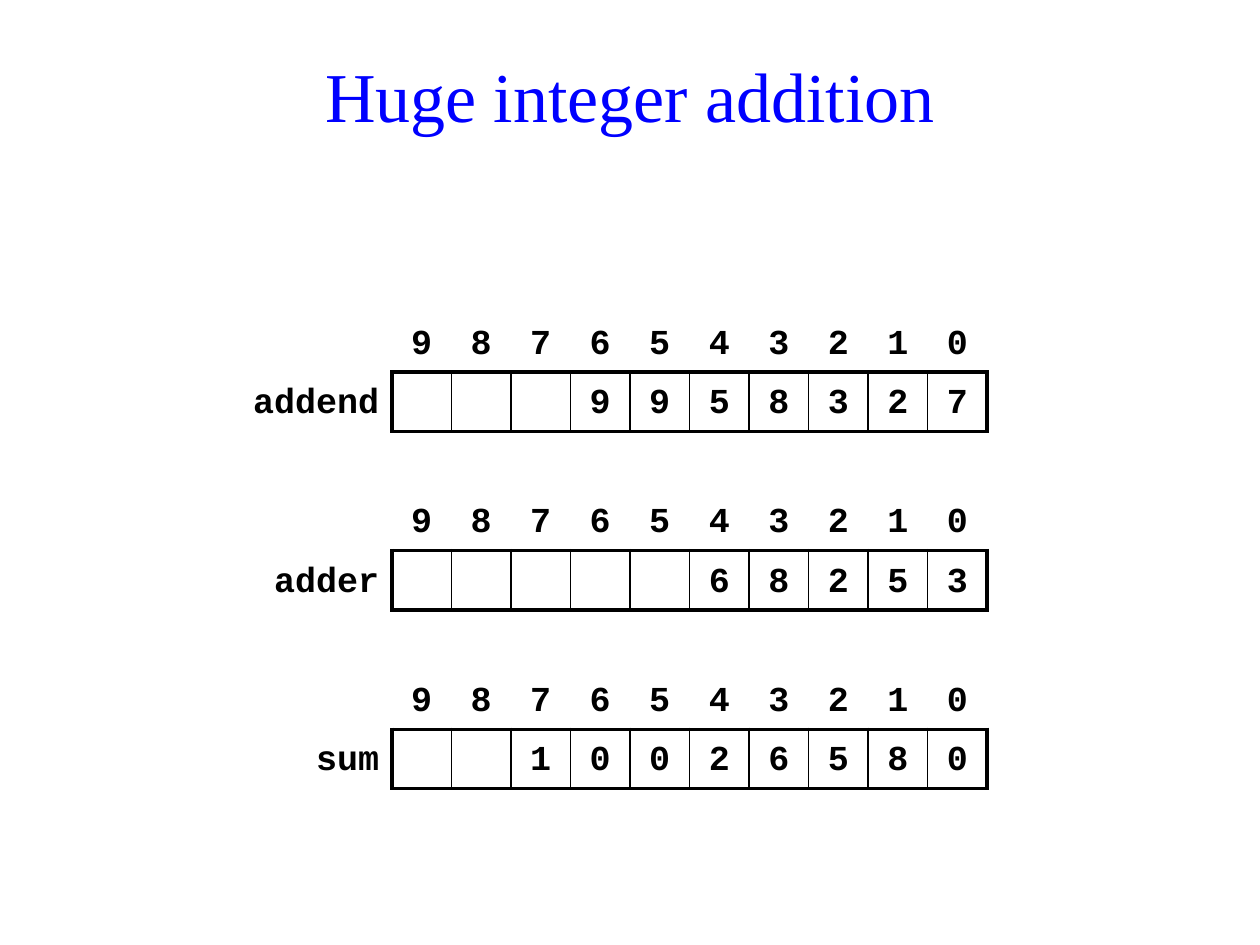
from pptx import Presentation
from pptx.dml.color import RGBColor as RGB
from pptx.enum.text import MSO_ANCHOR as Anchor, PP_ALIGN as Align
from pptx.oxml.ns import qn
from pptx.util import Inches, Mm, Pt
from lxml.etree import SubElement as Sub

COLORS = {"title": "0000FF", "ink": "000000"}
UNIT, EDGE = Mm(4), Mm(7)
CELL, FIRST, DIGITS = 3, 18, 10
THICK, THIN = 2.25, 1


class Deck:
    """Holds the style, the grid of 4 mm units and the current slide."""

    def __init__(self):
        self.prs = Presentation()
        self.prs.slide_width, self.prs.slide_height = Inches(10), Inches(7.5)
        self.slide = self.prs.slides.add_slide(self.prs.slide_layouts[5])

    def place(self, col, row, wide, high):
        return EDGE + col * UNIT, EDGE + row * UNIT, wide * UNIT, high * UNIT

    def style(self, para, font, size, color, align, bold=False):
        para.alignment = align
        for run in para.runs:
            run.font.name, run.font.size, run.font.bold = font, Pt(size), bold
            run.font.color.rgb = RGB.from_string(COLORS[color])

    def title(self, text, col, row, wide, high):
        box = self.slide.shapes.title
        box.left, box.top, box.width, box.height = self.place(col, row, wide, high)
        frame = box.text_frame
        frame.text = text
        frame.vertical_anchor = Anchor.MIDDLE
        self.style(frame.paragraphs[0], "Times New Roman", 40, "title", Align.CENTER)

    def border(self, cell, sides):
        props = cell._tc.get_or_add_tcPr()
        for side in "LRTB":
            width = sides.get(side, 0)
            line = Sub(props, qn(f"a:ln{side}"), w=str(Pt(width)))
            if width:
                fill = Sub(line, qn("a:solidFill"))
                Sub(fill, qn("a:srgbClr"), val=COLORS["ink"])
            else:
                Sub(line, qn("a:noFill"))

    def fill(self, cell, text, align, sides):
        self.border(cell, sides)
        cell.fill.background()
        cell.margin_left = cell.margin_right = Inches(0.1)
        cell.margin_top = cell.margin_bottom = Inches(0.02)
        cell.text_frame.text = text
        para = cell.text_frame.paragraphs[0]
        para.line_spacing = 1.25
        self.style(para, "Courier New", 20, "ink", align, True)

    def number(self, label, value, lead, row):
        spot = self.place(FIRST - lead, row, lead + DIGITS * CELL, 2 * CELL)
        table = self.slide.shapes.add_table(2, DIGITS + 1, *spot).table
        table.first_row = table.horz_banding = False
        for i, col in enumerate(table.columns):
            col.width = (CELL if i else lead) * UNIT
        self.fill(table.cell(0, 0), "", Align.RIGHT, {})
        self.fill(table.cell(1, 0), label, Align.RIGHT, {"R": THICK})
        for i, digit in enumerate(value.rjust(DIGITS), 1):
            sides = {"L": THICK if i == 1 else THIN, "T": THICK,
                     "R": THICK if i == DIGITS else THIN, "B": THICK}
            self.fill(table.cell(0, i), str(DIGITS - i), Align.CENTER, {"B": THICK})
            self.fill(table.cell(1, i), digit.strip(), Align.CENTER, sides)


def main():
    deck = Deck()
    deck.title("Huge integer addition", 0, 0, 60, 6)
    rows = [("addend", "9958327", 8), ("adder", "68253", 7), ("sum", "10026580", 5)]
    for i, (label, value, lead) in enumerate(rows):
        deck.number(label, value, lead, 14 + 3 * CELL * i)
    deck.prs.save("out.pptx")


if __name__ == "__main__":
    main()
